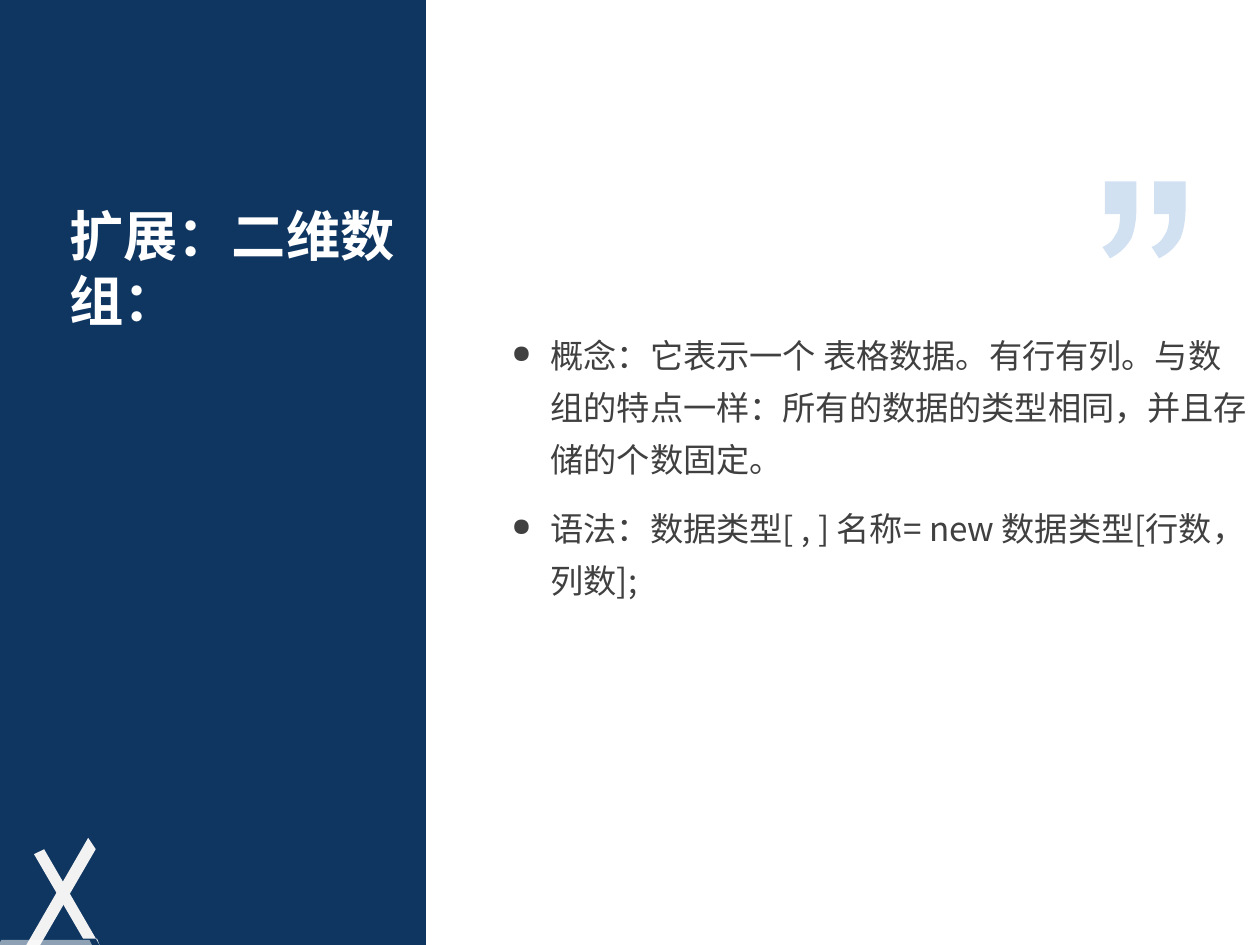
from lxml import etree
from pptx import Presentation
from pptx import util as u
from pptx.dml.color import RGBColor
from pptx.enum import shapes, text
from pptx.oxml.ns import qn

NAVY = RGBColor(0x0F, 0x36, 0x61)
BLUE = RGBColor(0x1D, 0x6D, 0xC2)
PALE = RGBColor(0xF2, 0xF2, 0xF2)
WHITE = RGBColor(0xFF, 0xFF, 0xFF)
GREY = RGBColor(0x40, 0x40, 0x40)
FONT = "Noto Sans CJK SC"
W, H = 10, 7.5

TITLE = ["扩展：二维数组："]
POINTS = [
    "概念：它表示一个 表格数据。有行有列。与数组的特点一样：所有的数据的类型相同，并且存储的个数固定。",
    "语法：数据类型[ , ] 名称= new 数据类型[行数，列数];",
]
STROKES = [
    ([(0.35, 6.74), (0.79, 7.5), (0.77, 7.45), (0.66, 7.45), (0.27, 6.78)], PALE, 100),
    ([(0.76, 6.74), (0.29, 7.55), (0.18, 7.55), (0.7, 6.65)], PALE, 100),
    ([(0.71, 7.46), (0.75, 7.54), (-0.03, 7.54), (0.01, 7.46)], WHITE, 53),
]
QUOTE_START = [(9.16, 1.7), (9.16, 1.44), (9.41, 1.44), (9.41, 1.65)]
QUOTE_OUTER = [[(9.41, 1.76), (9.39, 1.84), (9.37, 1.89)],
               [(9.33, 1.96), (9.28, 2.01), (9.2, 2.05)]]
QUOTE_TIP = (9.14, 1.96)
QUOTE_INNER = [[(9.19, 1.94), (9.22, 1.91), (9.24, 1.87)],
               [(9.27, 1.83), (9.28, 1.78), (9.28, 1.7)]]
QUOTE_GAP = 0.39


def curve(start, segments, steps=10):
    points = []
    for a, b, end in segments:
        for i in range(1, steps + 1):
            t = i / steps
            weights = ((1 - t) ** 3, 3 * t * (1 - t) ** 2, 3 * t * t * (1 - t), t ** 3)
            points.append(tuple(sum(k * p[axis] for k, p in zip(weights, (start, a, b, end)))
                                for axis in (0, 1)))
        start = end
    return points


def paint(sp, color, alpha=100):
    sp.shadow.inherit = False
    sp.line.fill.background()
    sp.fill.solid()
    sp.fill.fore_color.rgb = color
    if alpha < 100:
        clr = sp._element.spPr.find(qn("a:solidFill"))[0]
        etree.SubElement(clr, qn("a:alpha"), val=str(alpha * 1000))


def add_outline(s, contours, color, alpha=100):
    contours = [[(u.Inches(x), u.Inches(y)) for x, y in points] for points in contours]
    fb = s.shapes.build_freeform(*contours[0][0])
    for i, points in enumerate(contours):
        if i:
            fb.move_to(*points[0])
        fb.add_line_segments(points[1:], close=True)
    paint(fb.convert_to_shape(), color, alpha)


def write(sp, lines, size, color, anchor, bold=False, bullet=None, indent=0.31,
          spacing=1.0, before=0):
    tf = sp.text_frame
    tf.word_wrap = True
    tf.auto_size = text.MSO_AUTO_SIZE.NONE
    tf.vertical_anchor = anchor
    tf.margin_left = tf.margin_right = u.Inches(0.05)
    tf.margin_top = tf.margin_bottom = u.Inches(0.02)
    for i, line in enumerate(lines):
        p = tf.paragraphs[0] if i == 0 else tf.add_paragraph()
        p.alignment = text.PP_ALIGN.LEFT
        p.line_spacing = spacing
        p.space_before = u.Pt(before if i else 0)
        if bullet:
            pPr = p._p.get_or_add_pPr()
            pPr.set("marL", str(u.Inches(indent)))
            pPr.set("indent", str(-u.Inches(indent)))
            clr = etree.SubElement(pPr, qn("a:buClr"))
            etree.SubElement(clr, qn("a:srgbClr"), val=str(color))
            etree.SubElement(pPr, qn("a:buSzPct"), val="75000")
            etree.SubElement(pPr, qn("a:buChar"), char=bullet)
        r = p.add_run()
        r.text = line
        r.font.size = u.Pt(size)
        r.font.bold = bold
        r.font.color.rgb = color
        r.font.name = FONT
        etree.SubElement(r._r.get_or_add_rPr(), qn("a:ea"), typeface=FONT)


def main():
    prs = Presentation()
    prs.slide_width, prs.slide_height = u.Inches(W), u.Inches(H)
    s = prs.slides.add_slide(prs.slide_layouts[5])

    panel = s.shapes.add_shape(shapes.MSO_SHAPE.RECTANGLE, 0, 0, u.Inches(3.38), u.Inches(H))
    paint(panel, NAVY)
    for points, color, alpha in STROKES:
        add_outline(s, [points], color, alpha)

    quote = (QUOTE_START + curve(QUOTE_START[-1], QUOTE_OUTER)
             + [QUOTE_TIP] + curve(QUOTE_TIP, QUOTE_INNER))
    add_outline(s, [[(x - shift, y) for x, y in quote] for shift in (0, QUOTE_GAP)], BLUE, 20)

    title = s.shapes.title
    title.left, title.top = u.Inches(0.5), u.Inches(1.33)
    title.width, title.height = u.Inches(2.9), u.Inches(1.33)
    s.shapes._spTree.append(title._element)
    write(title, TITLE, 31, WHITE, text.MSO_ANCHOR.BOTTOM, bold=True)

    body = s.shapes.add_textbox(u.Inches(4.01), u.Inches(2.5), u.Inches(W - 4.01), u.Inches(2.33))
    write(body, POINTS, 19, GREY, text.MSO_ANCHOR.MIDDLE, bullet="●", spacing=1.3, before=10)
    prs.save("out.pptx")


if __name__ == "__main__":
    main()
